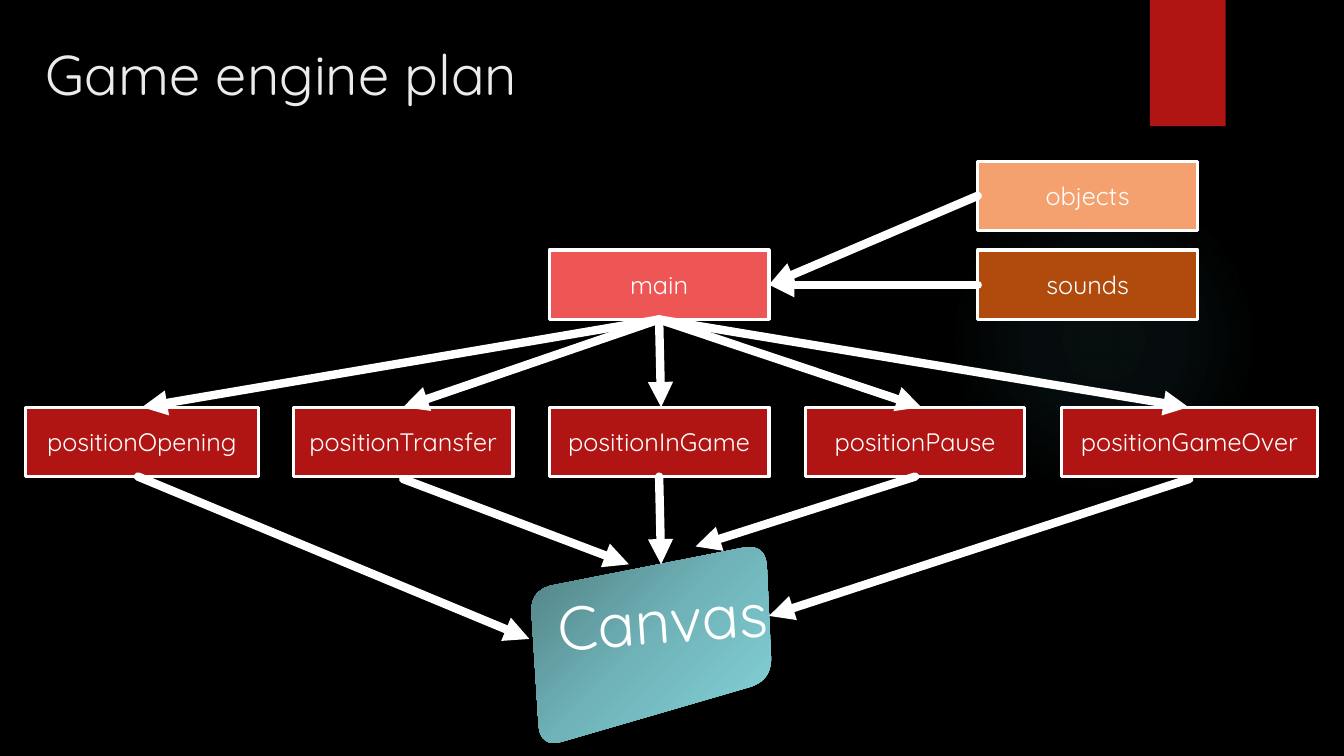
import lxml.etree
import pptx
import pptx.dml.color
import pptx.enum.shapes
import pptx.enum.text
import pptx.oxml
import pptx.oxml.ns
import pptx.util

Cm = pptx.util.Cm
Pt = pptx.util.Pt
RGB = pptx.dml.color.RGBColor
KIND = pptx.enum.shapes.MSO_SHAPE
ALIGN = pptx.enum.text.PP_ALIGN
ANCHOR = pptx.enum.text.MSO_ANCHOR
qn = pptx.oxml.ns.qn

BLACK = RGB(0x00, 0x00, 0x00)
WHITE = RGB(0xFF, 0xFF, 0xFF)
PALE = RGB(0xEB, 0xEB, 0xEB)
RED = RGB(0xB0, 0x15, 0x13)
CORAL = RGB(0xED, 0x56, 0x54)
PEACH = RGB(0xF4, 0xA1, 0x6F)
BROWN = RGB(0xB0, 0x4A, 0x0D)
TEAL = RGB(0x50, 0xB9, 0xC1)
DARK = RGB(0x4F, 0x7E, 0x82)
MID = RGB(0x70, 0xB4, 0xB9)
LIGHT = RGB(0x85, 0xD5, 0xDB)

WIDE, HIGH = 5.54, 1.75
ROW = 10.26
HUB = (13.84, 6.3)
SIDE = 24.64
STATES = [
    ("positionOpening", 0.64, 5.87),
    ("positionTransfer", 7.39, WIDE),
    ("positionInGame", 13.84, WIDE),
    ("positionPause", 20.29, WIDE),
    ("positionGameOver", 26.75, 6.45),
]
HEADS = [3.58, 10.16, 16.66, 23.22, 29.95]
FLOWS = [
    ((3.48, 12.01), (13.34, 16.1)),
    ((10.16, 12.07), (15.85, 14.22)),
    ((16.61, 12.01), (16.66, 14.22)),
    ((23.06, 12.01), (17.53, 13.77)),
    ((29.97, 12.07), (19.38, 15.52)),
]
PANEL = [(13.36, 14.86), (19.3, 13.69), (19.46, 17.15), (13.61, 18.85)]


def write(frame, text, size=18, color=WHITE, align=ALIGN.CENTER, anchor=ANCHOR.MIDDLE):
    """Put one formatted line into a text frame."""
    frame.word_wrap = True
    frame.vertical_anchor = anchor
    para = frame.paragraphs[0]
    para.alignment = align
    run = para.add_run()
    run.text = text
    run.font.name = "Quicksand"
    run.font.size = Pt(size)
    run.font.color.rgb = color


def label(slide, text, left, top, wide, high, turn=0, **style):
    """Add a text box."""
    box = slide.shapes.add_textbox(Cm(left), Cm(top), Cm(wide), Cm(high))
    box.rotation = turn
    write(box.text_frame, text, **style)


def block(slide, kind, left, top, wide, high, fill=None):
    """Add a plain shape without outline."""
    shape = slide.shapes.add_shape(kind, Cm(left), Cm(top), Cm(wide), Cm(high))
    shape.shadow.inherit = False
    shape.line.fill.background()
    if fill is not None:
        shape.fill.solid()
        shape.fill.fore_color.rgb = fill
    return shape


def node(slide, text, left, top, fill, wide=WIDE):
    """Add an outlined box with a module name."""
    shape = block(slide, KIND.RECTANGLE, left, top, wide, HIGH, fill)
    shape.line.color.rgb = WHITE
    shape.line.width = Pt(2.25)
    write(shape.text_frame, text)


def arrow(slide, start, end):
    """Add a thick white arrow."""
    kind = pptx.enum.shapes.MSO_CONNECTOR.STRAIGHT
    link = slide.shapes.add_connector(kind, *(Cm(n) for n in start + end))
    link.line.color.rgb = WHITE
    link.line.width = Pt(6)
    line = link.line._get_or_add_ln()
    line.set("cap", "rnd")
    lxml.etree.SubElement(line, qn("a:tailEnd"), type="triangle")
    lxml.etree.SubElement(link._element.spPr, qn("a:effectLst"))


def blend(shape, stops, focus):
    """Fill a shape with a radial gradient of (percent, colour, alpha) stops."""
    marks = "".join(
        f'<a:gs pos="{pos * 1000}"><a:srgbClr val="{color}">'
        f'<a:alpha val="{alpha * 1000}"/></a:srgbClr></a:gs>'
        for pos, color, alpha in stops
    )
    sides = " ".join(f'{side}="{n * 1000}"' for side, n in zip("ltrb", focus))
    space = pptx.oxml.ns.nsdecls("a")
    shape.fill.background()
    old = shape._element.spPr.find(qn("a:noFill"))
    new = pptx.oxml.parse_xml(
        f'<a:gradFill {space} rotWithShape="1"><a:gsLst>{marks}</a:gsLst>'
        f'<a:path path="circle"><a:fillToRect {sides}/></a:path></a:gradFill>'
    )
    shape._element.spPr.replace(old, new)


def toward(start, end, size):
    """Give the point that lies a set length from start on the way to end."""
    dx, dy = end[0] - start[0], end[1] - start[1]
    part = size / (dx * dx + dy * dy) ** 0.5
    return start[0] + dx * part, start[1] + dy * part


def bend(corners, size, steps=10):
    """List the points of a polygon with rounded corners."""
    points = []
    for i, mid in enumerate(corners):
        first = toward(mid, corners[i - 1], size)
        last = toward(mid, corners[(i + 1) % len(corners)], size)
        for step in range(steps + 1):
            t = step / steps
            points.append(tuple(
                Cm((1 - t) ** 2 * a + 2 * t * (1 - t) * b + t * t * c)
                for a, b, c in zip(first, mid, last)
            ))
    return points


def canvas(slide):
    """Add the tilted canvas panel with its name."""
    points = bend(PANEL, 0.6)
    form = slide.shapes.build_freeform(*points[0])
    form.add_line_segments(points[1:], close=True)
    panel = form.convert_to_shape()
    panel.shadow.inherit = False
    panel.line.fill.background()
    blend(panel, [(0, DARK, 100), (50, MID, 100), (100, LIGHT, 100)], (0, 0, 100, 100))
    label(slide, "Canvas", 13.2, 14.5, 7, 2.2, turn=-4, size=44)


def main():
    """Build the slide and save it."""
    deck = pptx.Presentation()
    deck.slide_width, deck.slide_height = Cm(33.87), Cm(19.05)
    slide = deck.slides.add_slide(deck.slide_layouts[6])
    slide.background.fill.solid()
    slide.background.fill.fore_color.rgb = BLACK

    glow = block(slide, KIND.OVAL, 23.9, 4.65, 7.82, 7.82)
    blend(glow, [(0, TEAL, 7), (36, TEAL, 6), (69, TEAL, 0)], (50, 50, 50, 50))
    block(slide, KIND.RECTANGLE, 28.98, 0, 1.91, 3.18, RED)
    label(slide, "Game engine plan", 0.89, 0.86, 29.29, 2.24, size=40,
          color=PALE, align=ALIGN.LEFT, anchor=ANCHOR.TOP)

    left, top = HUB
    node(slide, "main", left, top, CORAL)
    for name, x, wide in STATES:
        node(slide, name, x, ROW, RED, wide)
    canvas(slide)
    for x in HEADS:
        arrow(slide, (left + WIDE / 2, top + HIGH), (x, ROW))
    for name, y, fill in [("objects", 4.06, PEACH), ("sounds", top, BROWN)]:
        node(slide, name, SIDE, y, fill)
        arrow(slide, (SIDE, y + HIGH / 2), (left + WIDE, top + HIGH / 2))
    for start, end in FLOWS:
        arrow(slide, start, end)
    deck.save("out.pptx")


if __name__ == "__main__":
    main()
